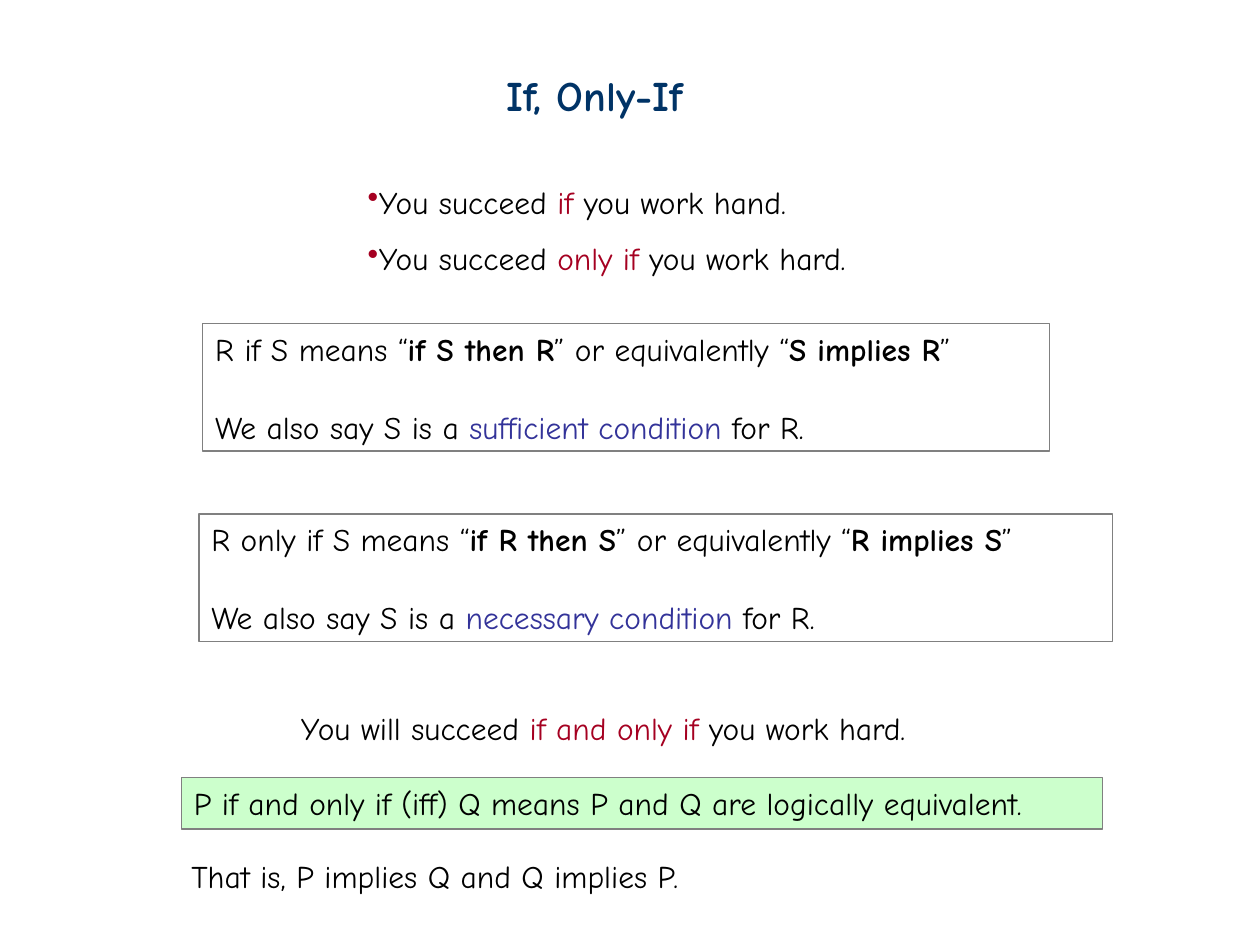
from lxml import etree
from pptx import Presentation
from pptx.dml.color import RGBColor
from pptx.enum.shapes import MSO_SHAPE
from pptx.enum.text import MSO_ANCHOR, MSO_AUTO_SIZE, PP_ALIGN
from pptx.oxml.ns import qn
from pptx.util import Inches, Pt

FONT = "Comic Neue"
RECTANGLE = MSO_SHAPE.RECTANGLE
TOP = MSO_ANCHOR.TOP
NO_AUTOSIZE = MSO_AUTO_SIZE.NONE
LEFT = PP_ALIGN.LEFT

BLACK = RGBColor(0x00, 0x00, 0x00)
NAVY = RGBColor(0x00, 0x33, 0x66)
RED = RGBColor(0xA5, 0x00, 0x21)
BLUE = RGBColor(0x33, 0x33, 0x99)
GREY = RGBColor(0x80, 0x80, 0x80)
MINT = RGBColor(0xCC, 0xFF, 0xCC)

PLAIN = {}
BOLD = {"bold": True}
KEY = {"color": RED}
TERM = {"color": BLUE}

TITLE = "If, Only-If"
TITLE_AREA = (3.92, 0.5, 2.11, 0.5)


def definition(word, meaning, implication, condition):
    return [
        [(f"R {word} S means “", PLAIN), (meaning, BOLD),
         ("” or equivalently “", PLAIN), (implication, BOLD), ("”", PLAIN)],
        [("We also say S is a ", PLAIN), (condition, TERM), (" for R.", PLAIN)],
    ]


BLOCKS = [
    ((2.82, 1.25, 4.35, 1.01),
     [[("You succeed ", PLAIN), ("if", KEY), (" you work hand.", PLAIN)],
      [("You succeed ", PLAIN), ("only if", KEY), (" you work hard.", PLAIN)]],
     {"bullets": True, "line_spacing": 1.5}),
    ((1.61, 2.57, 6.72, 1.01),
     definition("if", "if S then R", "S implies R", "sufficient condition"),
     {"framed": True, "gap": 22.7}),
    ((1.58, 4.08, 7.25, 1.01),
     definition("only if", "if R then S", "R implies S", "necessary condition"),
     {"framed": True, "gap": 22.7}),
    ((2.29, 5.58, 5.41, 0.4),
     [[("You will succeed ", PLAIN), ("if and only if", KEY), (" you work hard.", PLAIN)]],
     {}),
    ((1.44, 6.17, 7.31, 0.41),
     [[("P if and only if (iff) Q means P and Q are logically equivalent.", PLAIN)]],
     {"framed": True, "fill": MINT}),
    ((1.42, 6.75, 4.37, 0.4),
     [[("That is, P implies Q and Q implies P.", PLAIN)]],
     {}),
]


def add_run(paragraph, text, size=18, color=BLACK, bold=False):
    run = paragraph.add_run()
    run.text = text
    run.font.name = FONT
    run.font.size = Pt(size)
    run.font.bold = bold
    run.font.color.rgb = color


def add_bullet(paragraph, color):
    properties = paragraph._p.get_or_add_pPr()
    bullet_color = etree.SubElement(properties, qn("a:buClr"))
    etree.SubElement(bullet_color, qn("a:srgbClr"), val=str(color))
    etree.SubElement(properties, qn("a:buChar"), char="•")


def prepare_frame(shape):
    frame = shape.text_frame
    frame.auto_size = NO_AUTOSIZE
    frame.word_wrap = True
    frame.vertical_anchor = TOP
    return frame


def add_block(slide, area, lines, framed=False, fill=None, gap=0,
              bullets=False, line_spacing=None):
    position = [Inches(length) for length in area]
    if framed:
        shape = slide.shapes.add_shape(RECTANGLE, *position)
        shape.shadow.inherit = False
        shape.line.color.rgb = GREY
        shape.line.width = Pt(0.75)
        if fill is None:
            shape.fill.background()
        else:
            shape.fill.solid()
            shape.fill.fore_color.rgb = fill
    else:
        shape = slide.shapes.add_textbox(*position)
    frame = prepare_frame(shape)
    for index, line in enumerate(lines):
        paragraph = frame.add_paragraph() if index else frame.paragraphs[0]
        paragraph.alignment = LEFT
        if line_spacing:
            paragraph.line_spacing = line_spacing
        if index and gap:
            paragraph.space_before = Pt(gap)
        if bullets:
            add_bullet(paragraph, RED)
        for text, style in line:
            add_run(paragraph, text, **style)


def main():
    presentation = Presentation()
    presentation.slide_width = Inches(10)
    presentation.slide_height = Inches(7.5)
    slide = presentation.slides.add_slide(presentation.slide_layouts[5])

    title = slide.shapes.title
    title.left, title.top, title.width, title.height = map(Inches, TITLE_AREA)
    paragraph = prepare_frame(title).paragraphs[0]
    paragraph.alignment = LEFT
    add_run(paragraph, TITLE, size=24, color=NAVY, bold=True)

    for area, lines, style in BLOCKS:
        add_block(slide, area, lines, **style)
    presentation.save("out.pptx")


if __name__ == "__main__":
    main()
